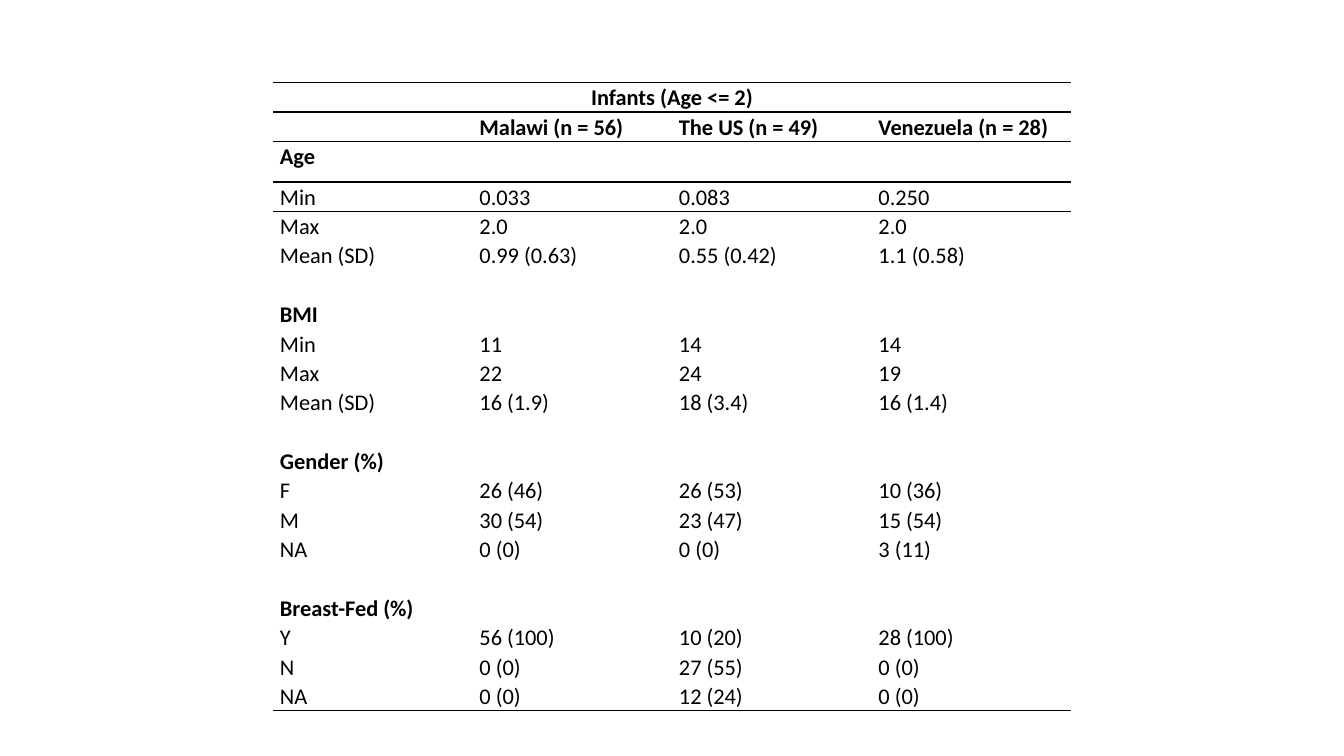
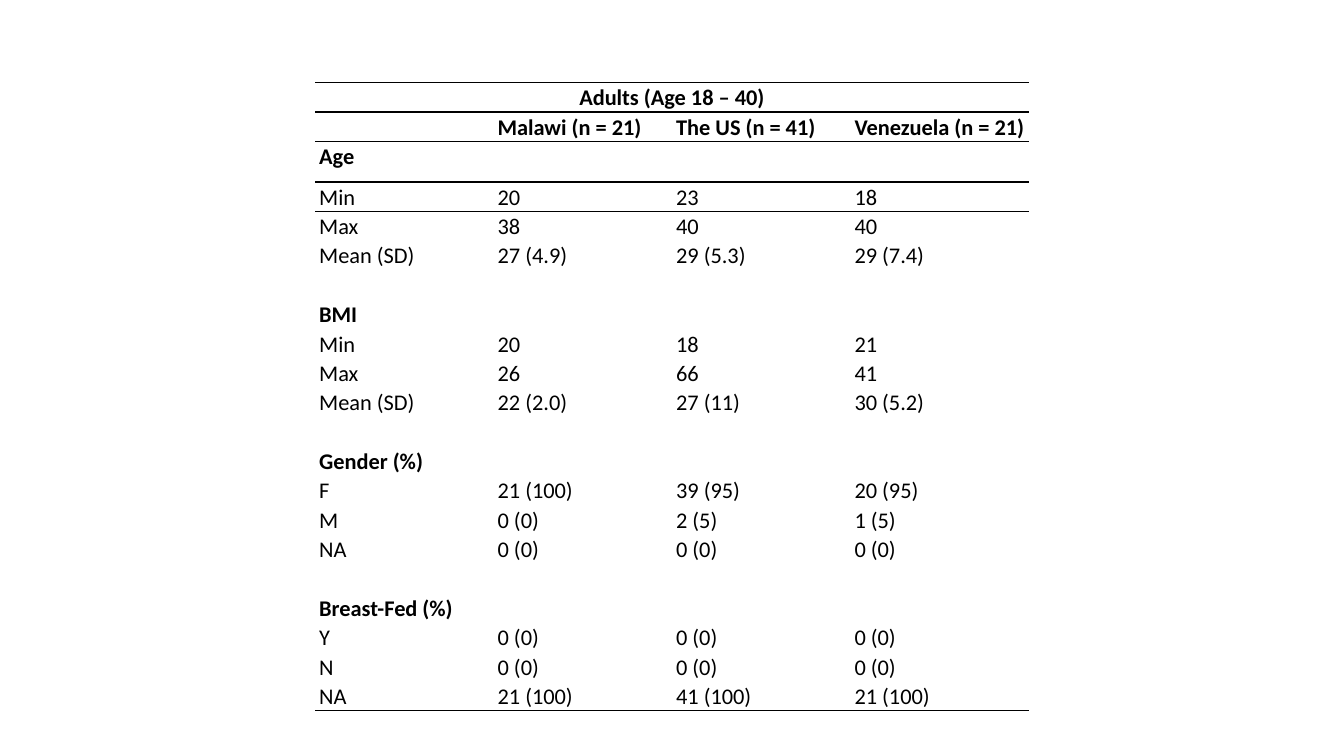
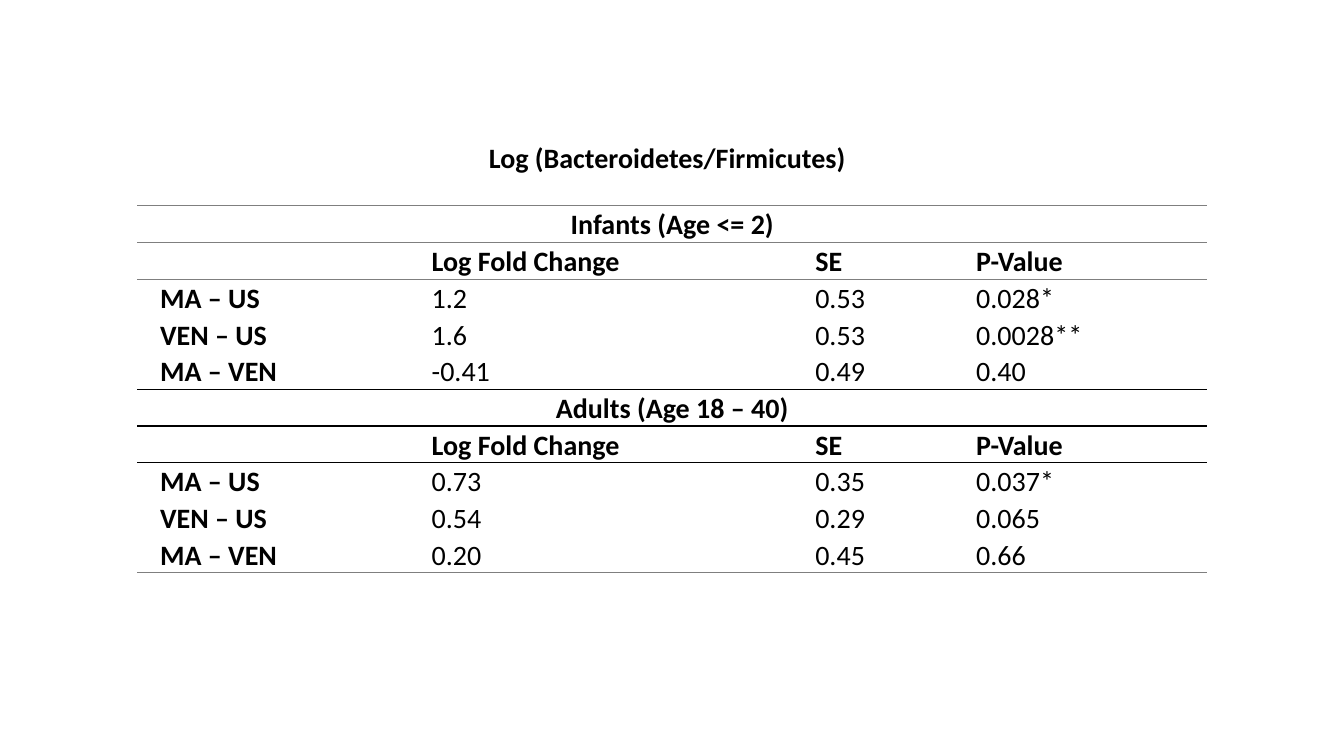
import lxml.etree
import pptx
import pptx.dml.color
import pptx.enum.text
import pptx.oxml.ns
import pptx.util

Pt = pptx.util.Pt
qn = pptx.oxml.ns.qn
ALIGN = pptx.enum.text.PP_ALIGN

COLOURS = {"black": "000000", "grey": "7F7F7F"}
FONT = "Calibri"
NO_TABLE_STYLE = "{2D5ABB26-0587-4C30-8999-92F81FD0307C}"
TITLE_ONLY, BLANK = 5, 6

INFANTS, ADULTS = "Infants (Age <= 2)", "Adults (Age 18 – 40)"
COUNTRIES = ["Malawi", "The US", "Venezuela"]
SECTIONS = [
    ("Age", ["Min", "Max", "Mean (SD)"]),
    ("BMI", ["Min", "Max", "Mean (SD)"]),
    ("Gender (%)", ["F", "M", "NA"]),
    ("Breast-Fed (%)", ["Y", "N", "NA"]),
]

COHORTS = [
    {
        "title": INFANTS, "counts": [56, 49, 28],
        "left": 195, "column": 142.5, "inset": 5,
        "values": [
            ["0.033", "0.083", "0.250"],
            ["2.0", "2.0", "2.0"],
            ["0.99 (0.63)", "0.55 (0.42)", "1.1 (0.58)"],
            ["11", "14", "14"],
            ["22", "24", "19"],
            ["16 (1.9)", "18 (3.4)", "16 (1.4)"],
            ["26 (46)", "26 (53)", "10 (36)"],
            ["30 (54)", "23 (47)", "15 (54)"],
            ["0 (0)", "0 (0)", "3 (11)"],
            ["56 (100)", "10 (20)", "28 (100)"],
            ["0 (0)", "27 (55)", "0 (0)"],
            ["0 (0)", "12 (24)", "0 (0)"],
        ],
    },
    {
        "title": ADULTS, "counts": [21, 41, 21],
        "left": 225, "column": 127.5, "inset": 3,
        "values": [
            ["20", "23", "18"],
            ["38", "40", "40"],
            ["27 (4.9)", "29 (5.3)", "29 (7.4)"],
            ["20", "18", "21"],
            ["26", "66", "41"],
            ["22 (2.0)", "27 (11)", "30 (5.2)"],
            ["21 (100)", "39 (95)", "20 (95)"],
            ["0 (0)", "2 (5)", "1 (5)"],
            ["0 (0)", "0 (0)", "0 (0)"],
            ["0 (0)", "0 (0)", "0 (0)"],
            ["0 (0)", "0 (0)", "0 (0)"],
            ["21 (100)", "41 (100)", "21 (100)"],
        ],
    },
]

RATIO_TITLE = "Log (Bacteroidetes/Firmicutes)"
RATIO_HEADER = ["", "Log Fold Change", "SE", "P-Value"]
RATIOS = [
    (INFANTS, [
        ["MA – US", "1.2", "0.53", "0.028*"],
        ["VEN – US", "1.6", "0.53", "0.0028**"],
        ["MA – VEN", "-0.41", "0.49", "0.40"],
    ]),
    (ADULTS, [
        ["MA – US", "0.73", "0.35", "0.037*"],
        ["VEN – US", "0.54", "0.29", "0.065"],
        ["MA – VEN", "0.20", "0.45", "0.66"],
    ]),
]


def set_format(target, values):
    for name, value in values.items():
        setattr(target, name, value)


def set_font(font, size, bold):
    set_format(font, {"name": FONT, "size": Pt(size), "bold": bold})
    font.color.rgb = pptx.dml.color.RGBColor.from_string(COLOURS["black"])


def spanning_row(text):
    return 4, [text, None, None, None]


def add_border(cell, side, colour):
    properties = cell._tc.get_or_add_tcPr()
    line = lxml.etree.SubElement(properties, qn("a:" + side), w=str(Pt(1)))
    fill = lxml.etree.SubElement(line, qn("a:solidFill"))
    lxml.etree.SubElement(fill, qn("a:srgbClr"), val=COLOURS[colour])


def fill_cell(cell, text, size, bold, inset, centred):
    set_format(cell, {"margin_left": Pt(inset), "margin_right": Pt(inset),
                      "margin_top": 0, "margin_bottom": 0})
    cell.fill.background()
    paragraph = cell.text_frame.paragraphs[0]
    if text:
        paragraph.line_spacing = 1.07
        paragraph.alignment = ALIGN.CENTER if centred else ALIGN.LEFT
        run = paragraph.add_run()
        run.text = text
        set_font(run.font, size, bold)
    else:
        lxml.etree.SubElement(paragraph._p, qn("a:endParaRPr"), sz=str(size * 100))


def add_ruled_table(slide, rows, left, top, columns, heights, size, inset, rules):
    """Rows are (number of leading bold cells, texts); None continues a span.

    Rules map a row boundary, counted from the top edge, to a colour."""
    frame = slide.shapes.add_table(len(rows), len(columns), Pt(left), Pt(top),
                                   Pt(sum(columns)), Pt(sum(heights)))
    table = frame.table
    set_format(table, {"first_row": False, "horz_banding": False})
    table._tbl.tblPr.find(qn("a:tableStyleId")).text = NO_TABLE_STYLE
    for column, width in zip(table.columns, columns):
        column.width = Pt(width)
    for row, height in zip(table.rows, heights):
        row.height = Pt(height)
    for row_index, (bold_count, texts) in enumerate(rows):
        for column_index, text in enumerate(texts):
            cell = table.cell(row_index, column_index)
            for side, boundary in (("lnT", row_index), ("lnB", row_index + 1)):
                if boundary in rules:
                    add_border(cell, side, rules[boundary])
            fill_cell(cell, text, size, column_index < bold_count, inset,
                      texts[1] is None)
        if None in texts:
            start = texts.index(None) - 1
            table.cell(row_index, start).merge(table.cell(row_index, len(texts) - 1))


def add_cohort_slide(presentation, cohort):
    slide = presentation.slides.add_slide(presentation.slide_layouts[BLANK])
    headers = [f"{country} (n = {count})"
               for country, count in zip(COUNTRIES, cohort["counts"])]
    rows = [spanning_row(cohort["title"]), (4, [""] + headers)]
    values = iter(cohort["values"])
    for index, (section, labels) in enumerate(SECTIONS):
        if index:
            rows += [spanning_row(""), (4, [section, "", "", ""])]
        else:
            rows.append((4, [section, "", None, None]))
        rows += [(0, [label] + next(values)) for label in labels]
    heights = [21] * len(rows)
    heights[2] = 29
    rules = dict.fromkeys([0, 1, 2, 3, len(rows)], "black")
    add_ruled_table(slide, rows, cohort["left"], 59, [cohort["column"]] * 4,
                    heights, 16, cohort["inset"], rules)


def add_ratio_slide(presentation):
    slide = presentation.slides.add_slide(presentation.slide_layouts[TITLE_ONLY])
    title = slide.shapes.title
    set_format(title, {"left": Pt(342), "top": Pt(97),
                       "width": Pt(276.5), "height": Pt(32)})
    title.text_frame.text = RATIO_TITLE
    set_format(title.text_frame, {"word_wrap": False,
                                  "vertical_anchor": pptx.enum.text.MSO_ANCHOR.TOP})
    paragraph = title.text_frame.paragraphs[0]
    paragraph.alignment = ALIGN.LEFT
    set_font(paragraph.runs[0].font, 20, True)

    rows = []
    for group, comparisons in RATIOS:
        rows += [spanning_row(group), (4, RATIO_HEADER)]
        rows += [(1, comparison) for comparison in comparisons]
    rules = {0: "grey", 1: "grey", 5: "black", 6: "black", 10: "grey"}
    add_ruled_table(slide, rows, 98, 147, [194, 274, 115, 181.5],
                    [26.2] * len(rows), 20, 16.4, rules)


def main():
    presentation = pptx.Presentation()
    set_format(presentation, {"slide_width": Pt(960), "slide_height": Pt(540)})
    for cohort in COHORTS:
        add_cohort_slide(presentation, cohort)
    add_ratio_slide(presentation)
    presentation.save("out.pptx")


if __name__ == "__main__":
    main()
